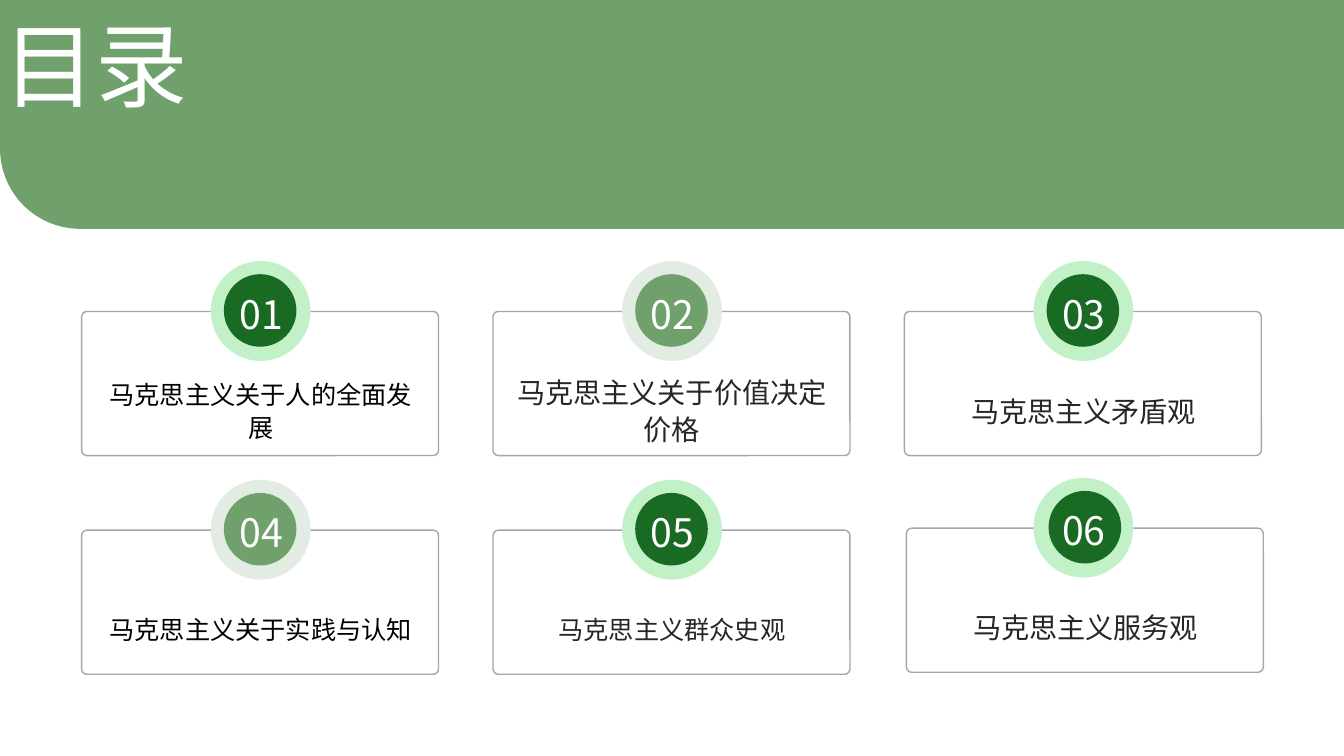
from pptx import Presentation
from pptx.dml.color import RGBColor
from pptx.enum.shapes import MSO_SHAPE
from pptx.enum.text import MSO_ANCHOR, MSO_AUTO_SIZE, PP_ALIGN
from pptx.oxml.ns import qn
from pptx.util import Inches, Pt

CARD = MSO_SHAPE.ROUNDED_RECTANGLE
OVAL = MSO_SHAPE.OVAL
BANNER = MSO_SHAPE.ROUND_1_RECTANGLE
TOP, MIDDLE = MSO_ANCHOR.TOP, MSO_ANCHOR.MIDDLE
LEFT, CENTER = PP_ALIGN.LEFT, PP_ALIGN.CENTER
NO_FIT = MSO_AUTO_SIZE.NONE

FONT = "Noto Sans CJK SC"
COLORS = {
    "white": "FFFFFF", "black": "000000", "ink": "262626", "border": "A6A6A6",
    "sage": "70A16C", "pale_sage": "E2ECE2",
    "forest": "196B24", "mint": "C2F1C8",
}

# Badge styles: ring colour, core colour
DARK = ("mint", "forest")
SOFT = ("pale_sage", "sage")

# Topic, text size, text colour, badge style
TOPICS = [
    ("马克思主义关于人的全面发展", 18, "black", DARK),
    ("马克思主义关于价值决定价格", 20.1, "ink", SOFT),
    ("马克思主义矛盾观", 20.1, "ink", DARK),
    ("马克思主义关于实践与认知", 18, "black", SOFT),
    ("马克思主义群众史观", 18, "ink", DARK),
    ("马克思主义服务观", 20.1, "ink", DARK),
]
COLUMNS = 3
GRID_X, GRID_Y = 0.81, 3.09
STEP_X, STEP_Y = 4.08, 2.17
NUDGES = {6: (0.02, -0.02)}  # the last card sits slightly off the grid


def color(name):
    return RGBColor.from_string(COLORS[name])


def write(sp, text, size=18, fill="ink", align=CENTER, anchor=MIDDLE):
    tf = sp.text_frame
    tf.word_wrap = True
    tf.auto_size = NO_FIT
    tf.vertical_anchor = anchor
    p = tf.paragraphs[0]
    p.alignment = align
    p.line_spacing = 1.1
    r = p.add_run()
    r.text = text
    r.font.size = Pt(size)
    r.font.name = FONT
    r.font.color.rgb = color(fill)
    ea = r.font._element.makeelement(qn("a:ea"), {"typeface": FONT})
    r.font._element.find(qn("a:latin")).addnext(ea)


def add_text(s, x, y, w, h, text, **fmt):
    sp = s.shapes.add_textbox(Inches(x), Inches(y), Inches(w), Inches(h))
    write(sp, text, **fmt)


def add_shape(s, kind, x, y, w, h, fill, line=None, radius=None):
    sp = s.shapes.add_shape(kind, Inches(x), Inches(y), Inches(w), Inches(h))
    sp.shadow.inherit = False
    sp.fill.solid()
    sp.fill.fore_color.rgb = color(fill)
    if line:
        sp.line.color.rgb = color(line)
        sp.line.width = Pt(1)
    else:
        sp.line.fill.background()
    if radius is not None:
        sp.adjustments[0] = radius
    return sp


def add_header(s, text):
    banner = add_shape(s, BANNER, 0, 0, 13.33, 2.27, "sage", radius=0.35)
    banner.rotation = 180  # brings the round corner to the bottom left
    title = s.shapes.title
    title.left, title.top = Inches(-0.07), Inches(-0.08)
    title.width, title.height = Inches(2.22), Inches(1.21)
    write(title, text, size=66, fill="white", align=LEFT, anchor=TOP)
    banner._element.addnext(title._element)  # title in front of the banner


def add_topic(s, number, topic, size, fill, badge):
    row, col = divmod(number - 1, COLUMNS)
    dx, dy = NUDGES.get(number, (0, 0))
    x = GRID_X + col * STEP_X
    y = GRID_Y + row * STEP_Y + dy
    ring, core = badge
    # Card and topic
    add_shape(s, CARD, x + dx, y, 3.54, 1.43, "white", "border", 0.037)
    add_text(s, x + dx + 0.12, y + 0.72, 3.31, 0.5, topic, size=size, fill=fill)
    # Number badge
    add_shape(s, OVAL, x + 1.28, y - 0.5, 0.99, 0.99, ring)
    add_shape(s, OVAL, x + dx + 1.41, y - 0.37, 0.72, 0.72, core)
    add_text(s, x + 1.25, y - 0.4, 1.06, 0.79, f"{number:02d}",
             size=28, fill="white")


def main():
    prs = Presentation()
    prs.slide_width, prs.slide_height = Inches(13.33), Inches(7.5)
    s = prs.slides.add_slide(prs.slide_layouts[5])
    add_header(s, "目录")
    for number, topic in enumerate(TOPICS, start=1):
        add_topic(s, number, *topic)
    prs.save("out.pptx")


if __name__ == "__main__":
    main()
